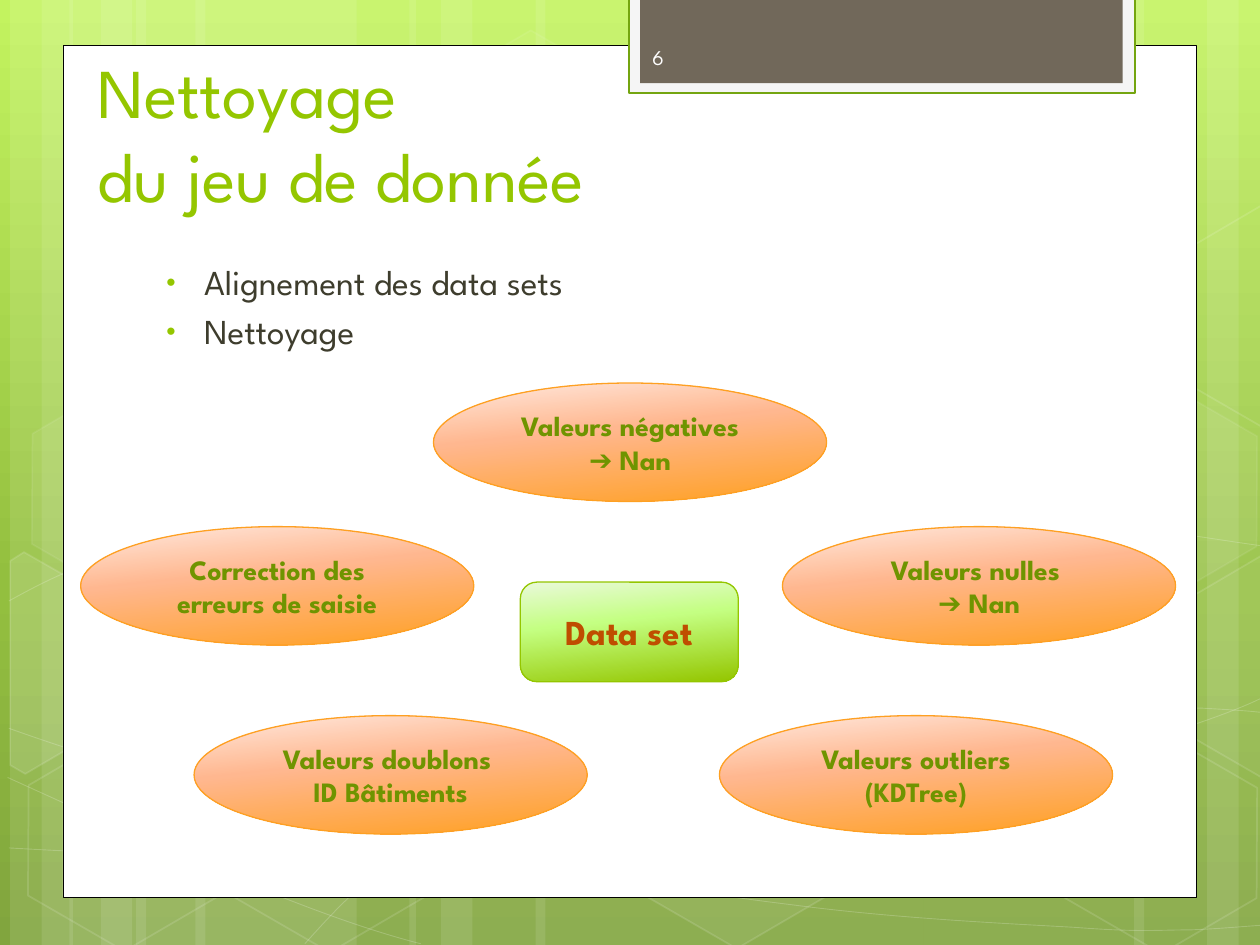
"""Build the data cleaning slide: a title, a list and five steps around a data set."""
from copy import deepcopy
from dataclasses import dataclass
from math import cos, radians, sin

from pptx import Presentation
from pptx.dml.color import RGBColor
from pptx.enum import shapes, text
from pptx.oxml import ns
from pptx.util import Inches, Pt


@dataclass(frozen=True)
class Theme:
    font: str = "League Spartan"
    lime: str = "94C600"
    olive: str = "6F9400"
    rust: str = "BF4D00"
    amber: str = "FEA022"
    ink: str = "3E3D2D"
    white: str = "FFFFFF"
    pale: str = "FEFEFE"
    black: str = "000000"
    frame: str = "F5F5F5"
    edge: str = "74A510"
    tab: str = "71685A"
    sky: tuple = ((0, "C3F35F"), (62, "93BF3F"), (100, "81A53E"))
    leaf: tuple = ((0, "EAF9DA"), (40, "C4FF82"), (100, "94C600"))
    glow: tuple = ((0, "FFE9DE"), (40, "FFB78F"), (100, "FFA021"))
    head: int = 40
    body: int = 20
    step: int = 16
    note: int = 12


T = Theme()
KIND = shapes.MSO_SHAPE
ALIGN = text.PP_ALIGN
ANCHOR = text.MSO_ANCHOR


def put(shape, lines, size, color, bold=False, align=ALIGN.LEFT, anchor=ANCHOR.MIDDLE):
    frame = shape.text_frame
    frame.auto_size = text.MSO_AUTO_SIZE.NONE
    frame.word_wrap = True
    frame.vertical_anchor = anchor
    for i, line in enumerate(lines):
        para = frame.add_paragraph() if i else frame.paragraphs[0]
        para.text = line
        para.alignment = align
        for run in para.runs:
            run.font.name, run.font.size, run.font.bold = T.font, Pt(size), bold
            run.font.color.rgb = RGBColor.from_string(color)


def paint(item, fill=None, alpha=100, line=None, width=1, veil=100, angle=84):
    ink = getattr(item, "background", item).fill
    if isinstance(fill, tuple):
        ink.gradient()
        ink.gradient_angle = 360 - angle
        stops = next(item.element.iter(ns.qn("a:gsLst")))
        stops.insert(1, deepcopy(stops[0]))
        for stop, (spot, tone) in zip(ink.gradient_stops, fill):
            stop.position = spot / 100
            stop.color.rgb = RGBColor.from_string(tone)
    if item is page:
        return
    item.shadow.inherit = False
    item.line.width = Pt(width)
    for part, tone, level in ((ink, fill, alpha), (item.line.fill, line, veil)):
        if tone is None:
            part.background()
        elif isinstance(tone, str):
            part.solid()
            part.fore_color.rgb = RGBColor.from_string(tone)
            if level < 100:
                last = list(item.element.iter(ns.qn("a:srgbClr")))[-1]
                last.append(last.makeelement(ns.qn("a:alpha"), {"val": str(level * 1000)}))


deck = Presentation()
deck.slide_width, deck.slide_height = Inches(10), Inches(7.5)
page = deck.slides.add_slide(deck.slide_layouts[1])
paint(page, T.sky, angle=90)

bands = [(1.08, 1.75, 0), (0.08, 0.5, 0), (0.33, 0.83, 0), (1.55, 1.75, 0), (0.55, 0.5, 0),
         (0.8, 0.83, 0), (7.33, 1.75, 180), (9.58, 0.5, 180), (9, 0.83, 180),
         (4.25, 3.08, 0), (3.25, 0.5, 0), (3.5, 0.83, 0)]
for x, w, turn in bands:
    band = page.shapes.add_shape(KIND.RECTANGLE, Inches(x), 0, Inches(w), Inches(7.5))
    band.rotation = turn
    paint(band, T.white, 10)

curves = [
    [(0.07, 6.73), (0.61, 6.76, 1.15, 6.79, 1.9, 6.78), (2.65, 6.77, 3.58, 6.75, 4.58, 6.65),
     (5.58, 6.55, 7, 6.36, 7.92, 6.17), (8.83, 5.98, 9.77, 5.68, 10.07, 5.51)],
    [(0.07, 4.77), (0.36, 4.61, 0.65, 4.46, 1.21, 4.31), (1.78, 4.16, 2.59, 3.94, 3.47, 3.87),
     (4.36, 3.8, 5.44, 3.79, 6.54, 3.87), (7.64, 3.95, 9.47, 4.26, 10.07, 4.34)],
    [(0.06, 6.17), (1.27, 6.72, 2.47, 7.27, 3.34, 7.49)],
    [(0.07, 5.78), (0.38, 5.89, 0.7, 6, 1.28, 6.16), (1.86, 6.31, 2.73, 6.56, 3.57, 6.73),
     (4.4, 6.9, 5.45, 7.08, 6.28, 7.18), (7.11, 7.29, 8, 7.33, 8.53, 7.36),
     (9.05, 7.4, 9.19, 7.38, 9.45, 7.38), (9.71, 7.37, 9.89, 7.35, 10.07, 7.34)],
    [(2.42, 7.49), (2.6, 7.29, 2.78, 7.09, 3.02, 6.91), (3.26, 6.73, 3.6, 6.53, 3.88, 6.39),
     (4.16, 6.25, 4.33, 6.19, 4.7, 6.09), (5.06, 5.99, 5.73, 5.85, 6.08, 5.78),
     (6.44, 5.71, 6.49, 5.71, 6.8, 5.69), (7.11, 5.66, 7.6, 5.63, 7.94, 5.62),
     (8.29, 5.61, 8.86, 5.62, 8.86, 5.62), (9.53, 5.62),
     (9.71, 5.63, 9.88, 5.64, 9.97, 5.65), (10.06, 5.66, 10.03, 5.65, 10.06, 5.66)],
]
for start, *arcs in curves:
    pen = page.shapes.build_freeform(*map(Inches, start))
    for arc in arcs:
        pen.add_line_segments(zip(map(Inches, arc[::2]), map(Inches, arc[1::2])), close=False)
    curve = pen.convert_to_shape()
    legs = iter(list(curve.element.iter(ns.qn("a:lnTo"))))
    for arc in arcs:
        leg = next(legs)
        if len(arc) == 6:
            bend = leg.makeelement(ns.qn("a:cubicBezTo"), {})
            leg.addprevious(bend)
            for piece in (leg, next(legs), next(legs)):
                bend.append(piece[0])
                piece.getparent().remove(piece)
    paint(curve, line=T.white, width=0.5, veil=20)

cells = [(3.34, 0.36, 4, 8), (4.97, 5.89, 6, 12), (0.11, 5.91, 0, 12), (0.14, 3.12, 7, 8),
         (1.74, 5.92, 0, 12), (7.53, 4.53, 10, 12), (8.34, 5.93, 0, 12), (8.34, 3.14, 7, 8)]
for x, y, alpha, veil in cells:
    cell = page.shapes.add_shape(KIND.HEXAGON, Inches(x), Inches(y), Inches(1.75), Inches(1.52))
    cell.rotation = 30
    cell.adjustments[0], cell.adjustments[1] = 0.285, 1.155
    paint(cell, T.white if alpha else None, alpha, T.white, veil=veil)

shards = [
    (10, 0.36, 5.35, [(0.08, 4.45), (0.19, 4.38), (0.96, 4.82), (0.95, 5.7), (0.2, 6.14), (0.08, 6.07)]),
    (4, 9.85, 5.2, [(9.26, 4.85), (10.01, 4.41), (10.09, 4.46), (10.09, 6.13), (10.02, 6.17), (9.26, 5.73)]),
    (0, 9.85, 2.41, [(9.26, 2.07), (10.01, 1.63), (10.1, 1.68), (10.09, 3.35), (10.02, 3.39), (9.26, 2.95)]),
]
c, s = cos(radians(30)), sin(radians(30))
for alpha, mx, my, knots in shards:
    dots = [(Inches(mx + (x - mx) * c + (y - my) * s), Inches(my - (x - mx) * s + (y - my) * c))
            for x, y in knots]
    pen = page.shapes.build_freeform(*dots[0])
    pen.add_line_segments(dots[1:])
    shard = pen.convert_to_shape()
    shard.rotation = 30
    paint(shard, T.white if alpha else None, alpha, T.white, veil=12)

panels = [((0.5, 0.36, 9, 6.76), T.white, T.black, 0.5),
          ((4.99, -0.02, 4.02, 0.76), T.frame, T.edge, 1.25),
          ((5.08, -0.02, 3.83, 0.68), T.tab, None, 1)]
for box, fill, line, width in panels:
    panel = page.shapes.add_shape(KIND.RECTANGLE, *map(Inches, box))
    paint(panel, fill, line=line, width=width)

title, body = page.shapes.title, page.placeholders[1]
for holder, box in ((title, (0.67, 0.52, 7.68, 1.25)), (body, (1.14, 2.02, 7.41, 3.84))):
    holder.left, holder.top, holder.width, holder.height = map(Inches, box)
    holder.element.getparent().append(holder.element)
put(title, ["Nettoyage \vdu jeu de donnée"], T.head, T.lime, anchor=ANCHOR.BOTTOM)
put(body, ["Alignement des data sets", "Nettoyage"], T.body, T.ink, anchor=ANCHOR.TOP)
for props in body.element.iter(ns.qn("a:pPr")):
    props.set("marL", str(Inches(0.38)))
    props.set("indent", str(Inches(-0.3)))
    for tag, traits in (("a:buClr", {}), ("a:buSzPct", {"val": "76000"}),
                        ("a:buFont", {"typeface": "Arial"}), ("a:buChar", {"char": "•"})):
        props.append(props.makeelement(ns.qn(tag), traits))
    props[0].append(props.makeelement(ns.qn("a:srgbClr"), {"val": T.lime}))

hub = page.shapes.add_shape(KIND.ROUNDED_RECTANGLE, *map(Inches, (4.13, 4.62, 1.73, 0.79)))
paint(hub, T.leaf, line=T.lime, width=0.75)
put(hub, ["Data set"], T.body, T.rust, True, ALIGN.CENTER)

steps = [(5.71, 5.68, ["Valeurs outliers (KDTree)"]),
         (1.54, 5.68, ["Valeurs doublons ", "ID Bâtiments"]),
         (6.21, 4.18, ["Valeurs nulles ", "➔ Nan"]),
         (3.44, 3.04, ["Valeurs négatives", "➔ Nan"]),
         (0.64, 4.18, ["Correction des erreurs de saisie"])]
for x, y, lines in steps:
    step = page.shapes.add_shape(KIND.OVAL, Inches(x), Inches(y), Inches(3.12), Inches(0.94))
    paint(step, T.glow, line=T.amber, width=0.75)
    put(step, lines, T.step, T.olive, True, ALIGN.CENTER)

folio = page.shapes.add_textbox(*map(Inches, (5.08, 0.25, 1.46, 0.4)))
put(folio, ["6"], T.note, T.pale)

deck.save("out.pptx")
